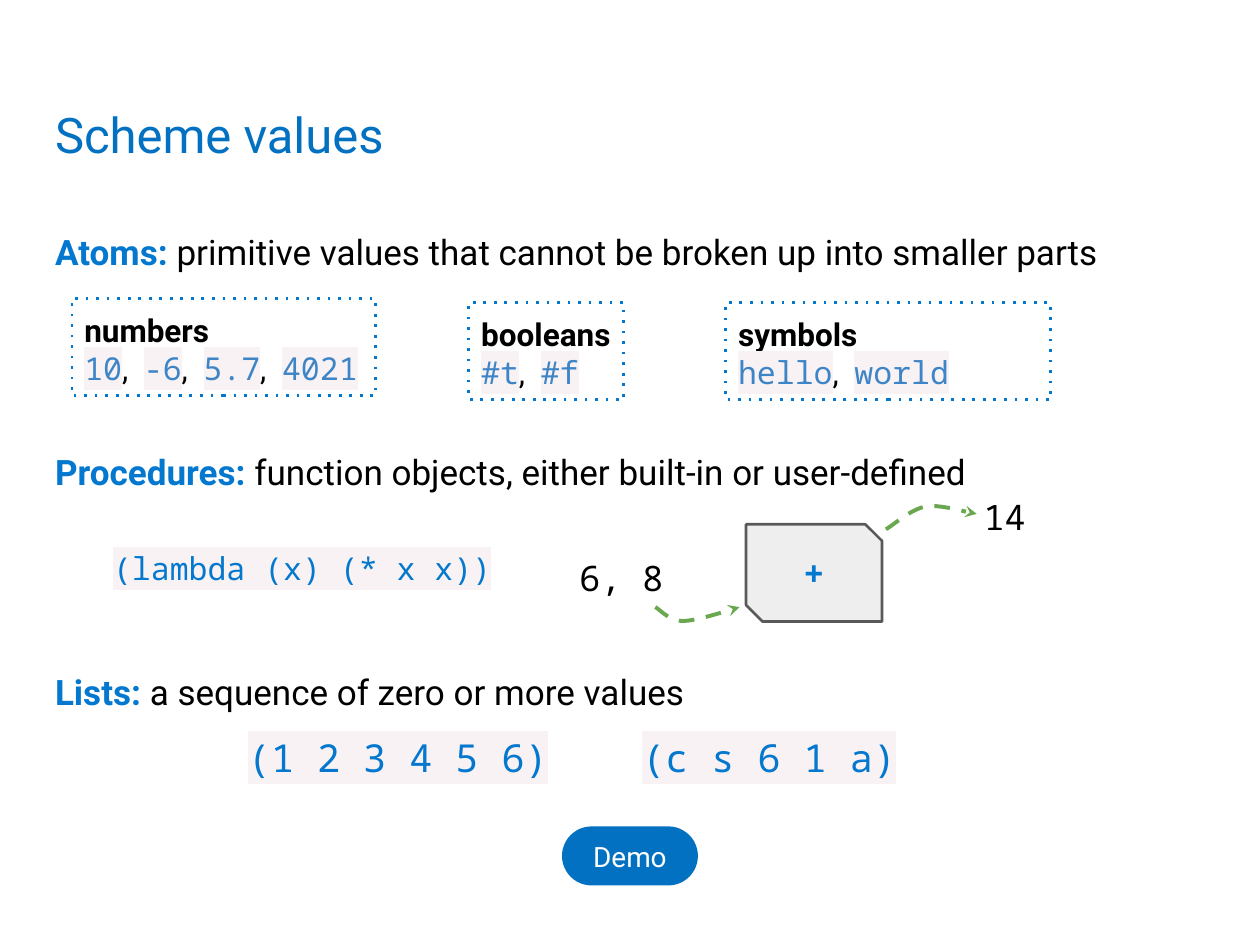
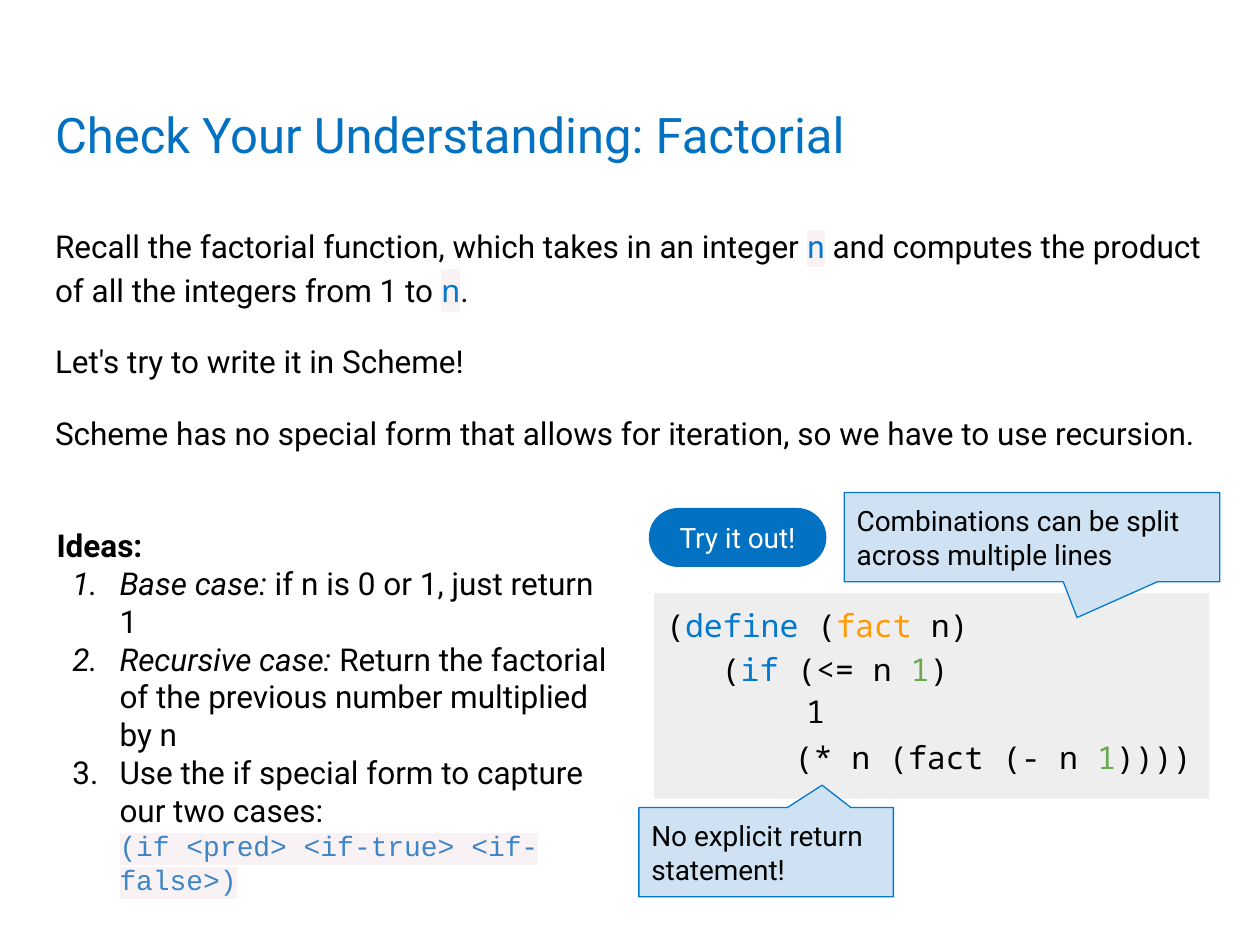
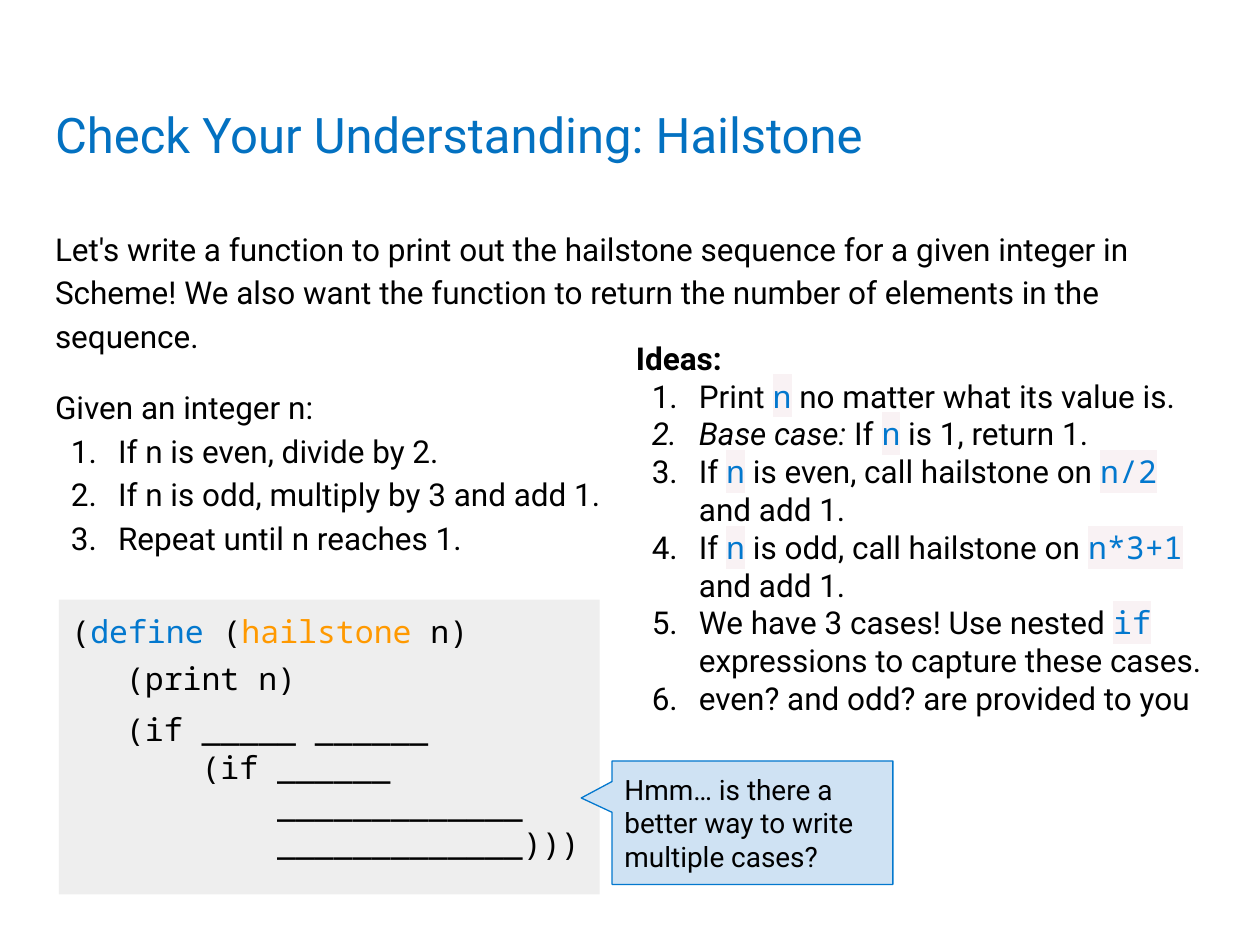
from dataclasses import dataclass, replace
from typing import NamedTuple, Optional, Sequence

from lxml.etree import SubElement
from pptx import Presentation
from pptx.dml.color import RGBColor
from pptx.enum.shapes import MSO_SHAPE
from pptx.enum.text import MSO_ANCHOR, MSO_AUTO_SIZE, PP_ALIGN
from pptx.oxml.ns import qn
from pptx.util import Cm, Pt

BLACK, WHITE = "000000", "FFFFFF"
TITLE_BLUE, BLUE, SOFT_BLUE = "0371C1", "0378CE", "3D85C6"
GREEN, ORANGE = "6AA84F", "FF9900"
PALE_BLUE, GREY, DARK_GREY, PINK = "CFE2F3", "EEEEEE", "595959", "F9F2F4"
MONO = "Noto Sans Mono"
INSET = 0.25
BODY_LEFT, BODY_WIDTH = 0.86, 23.67
LINE_SPACING = 1.15


class Frame(NamedTuple):
    """Position and size in centimetres."""
    left: float
    top: float
    width: float
    height: float

    def lengths(self) -> list:
        return [Cm(value) for value in self]


@dataclass(frozen=True)
class Style:
    size: float = 18
    font: str = "Roboto"
    color: str = BLACK
    bold: bool = False
    italic: bool = False
    highlight: Optional[str] = None
    tracking: Optional[float] = None


class Span(NamedTuple):
    text: str
    style: Style = Style()


@dataclass
class Para:
    spans: Sequence[Span]
    numbered: bool = False
    spacing: Optional[float] = None
    before: float = 0


@dataclass
class Look:
    """Fill, outline and text placement of a shape."""
    fill: Optional[str] = None
    line: Optional[str] = None
    weight: float = 0.75
    dash: Optional[str] = None
    anchor: MSO_ANCHOR = MSO_ANCHOR.TOP
    align: PP_ALIGN = PP_ALIGN.LEFT


@dataclass
class Callout:
    frame: Frame
    pointer: tuple[float, float]
    text: str


class ValueBox(NamedTuple):
    frame: Frame
    name: str
    values: list[str]


PLAIN = Style()
BOLD = Style(bold=True)
ITALIC = Style(italic=True)
CODE = Style(font=MONO)
KEYWORD = replace(CODE, color=BLUE)
DEFINED = replace(CODE, color=ORANGE)
NUMBER = replace(CODE, color=GREEN)
INLINE = replace(KEYWORD, highlight=PINK)
VALUE = replace(INLINE, color=SOFT_BLUE)
SEPARATOR = replace(PLAIN, tracking=2.25)
BREAK = Span("\n")
N = Span("n", INLINE)

CODE_LOOK = Look(fill=GREY)
VALUE_LOOK = Look(line=BLUE, weight=1.5, dash="dot")
CALLOUT_LOOK = Look(fill=PALE_BLUE, line=BLUE, anchor=MSO_ANCHOR.MIDDLE)
BUTTON_LOOK = Look(fill=TITLE_BLUE, anchor=MSO_ANCHOR.MIDDLE, align=PP_ALIGN.CENTER)
MACHINE_LOOK = Look(fill=GREY, line=DARK_GREY, weight=1.5,
                    anchor=MSO_ANCHOR.MIDDLE, align=PP_ALIGN.CENTER)


def rgb(color: str) -> RGBColor:
    return RGBColor.from_string(color)


def add_span(para, span: Span) -> None:
    if span == BREAK:
        para.add_line_break()
        return
    run, style = para.add_run(), span.style
    run.text = span.text
    font = run.font
    font.size, font.name = Pt(style.size), style.font
    font.bold, font.italic = style.bold, style.italic
    font.color.rgb = rgb(style.color)
    properties = run._r.get_or_add_rPr()
    if style.tracking:
        properties.set("spc", str(round(style.tracking * 100)))
    if style.highlight:
        mark = SubElement(properties, qn("a:highlight"))
        SubElement(mark, qn("a:srgbClr"), val=style.highlight)
        properties.find(qn("a:solidFill")).addnext(mark)


def number_paragraph(para) -> None:
    properties = para._p.get_or_add_pPr()
    properties.set("marL", str(Cm(1.27)))
    properties.set("indent", str(Cm(-0.95)))
    color = SubElement(properties, qn("a:buClr"))
    SubElement(color, qn("a:srgbClr"), val=BLACK)
    SubElement(properties, qn("a:buAutoNum"), type="arabicPeriod")


def fill_text(shape, paras: Sequence[Para], look: Look = Look()) -> None:
    frame = shape.text_frame
    frame.word_wrap = True
    frame.auto_size = MSO_AUTO_SIZE.NONE
    frame.vertical_anchor = look.anchor
    frame.margin_left = frame.margin_right = Cm(INSET)
    frame.margin_top = frame.margin_bottom = Cm(INSET)
    for index, item in enumerate(paras):
        para = frame.add_paragraph() if index else frame.paragraphs[0]
        if item.numbered:
            number_paragraph(para)
        para.alignment = look.align
        para.space_before = Pt(item.before)
        if item.spacing:
            para.line_spacing = item.spacing
        for span in item.spans:
            add_span(para, span)


def add_text(slide, frame: Frame, paras: Sequence[Para], look: Look = Look()) -> None:
    fill_text(slide.shapes.add_textbox(*frame.lengths()), paras, look)


def add_line(slide, frame: Frame, *spans: Span, look: Look = Look()) -> None:
    """Add a text box that holds one paragraph."""
    add_text(slide, frame, [Para(spans)], look)


def set_outline(shape, color: str, weight: float, dash: Optional[str]) -> None:
    shape.line.color.rgb = rgb(color)
    shape.line.width = Pt(weight)
    if dash:
        SubElement(shape.line._get_or_add_ln(), qn("a:prstDash"), val=dash)


def add_panel(slide, kind: MSO_SHAPE, frame: Frame, look: Look, paras: Sequence[Para],
              adjustments: Sequence[float] = ()) -> None:
    shape = slide.shapes.add_shape(kind, *frame.lengths())
    shape.shadow.inherit = False
    for index, value in enumerate(adjustments):
        shape.adjustments[index] = value
    if look.fill:
        shape.fill.solid()
        shape.fill.fore_color.rgb = rgb(look.fill)
    else:
        shape.fill.background()
    if look.line:
        set_outline(shape, look.line, look.weight, look.dash)
    else:
        shape.line.fill.background()
    fill_text(shape, paras, look)


def add_callout(slide, callout: Callout) -> None:
    add_panel(slide, MSO_SHAPE.ROUNDED_RECTANGULAR_CALLOUT, callout.frame, CALLOUT_LOOK,
              [Para([Span(callout.text, Style(16))])], (*callout.pointer, 0))


def add_button(slide, frame: Frame, text: str) -> None:
    label = Span(text, Style(16, color=WHITE))
    add_panel(slide, MSO_SHAPE.ROUNDED_RECTANGLE, frame, BUTTON_LOOK, [Para([label])], [0.5])


def add_value_box(slide, box: ValueBox) -> None:
    spans = []
    for value in box.values:
        if spans:
            spans.append(Span(", ", SEPARATOR))
        spans.append(Span(value, VALUE))
    add_panel(slide, MSO_SHAPE.RECTANGLE, box.frame, VALUE_LOOK,
              [Para([Span(box.name, BOLD)]), Para(spans)])


def add_definition(slide, frame: Frame, name: str) -> None:
    """Add a code panel that opens with the head of a Scheme definition."""
    add_panel(slide, MSO_SHAPE.RECTANGLE, frame, CODE_LOOK, [Para([
        Span("(", CODE), Span("define", KEYWORD), Span(" (", CODE),
        Span(name, DEFINED), Span(" n)", CODE)])])


def add_curved_arrow(slide, points: Sequence[tuple[float, float]], steps: int = 10) -> None:
    """Draw joined cubic curves, given as start, control, control, end, and so on."""
    curve = []
    for first in range(0, len(points) - 1, 3):
        for step in range(1, steps + 1):
            t = step / steps
            weights = ((1 - t) ** 3, 3 * t * (1 - t) ** 2, 3 * t * t * (1 - t), t ** 3)
            corners = points[first:first + 4]
            curve.append(tuple(Cm(sum(w * corner[axis] for w, corner in zip(weights, corners)))
                               for axis in (0, 1)))
    start_x, start_y = points[0]
    builder = slide.shapes.build_freeform(Cm(start_x), Cm(start_y))
    builder.add_line_segments(curve, close=False)
    arrow = builder.convert_to_shape()
    arrow.shadow.inherit = False
    arrow.fill.background()
    set_outline(arrow, GREEN, 2.25, "dash")
    SubElement(arrow.line._get_or_add_ln(), qn("a:tailEnd"), type="stealth")


def add_titled_slide(deck, title: str):
    slide = deck.slides.add_slide(deck.slide_layouts[5])
    holder = slide.shapes.title
    holder.left, holder.top, holder.width, holder.height = Frame(
        BODY_LEFT, 1.65, BODY_WIDTH, 2.11).lengths()
    fill_text(holder, [Para([Span(title, Style(28, color=TITLE_BLUE))])],
              Look(anchor=MSO_ANCHOR.MIDDLE))
    return slide


def body_para(*spans: Span, numbered: bool = False, before: float = 0) -> Para:
    return Para(spans, numbered, LINE_SPACING, before)


def ideas(*items: Sequence[Span]) -> list[Para]:
    return [Para([Span("Ideas:", BOLD)])] + [Para(item, numbered=True) for item in items]


def build_values_slide(deck) -> None:
    slide = add_titled_slide(deck, "Scheme values")
    sections = [
        ("Atoms:", " primitive values that cannot be broken up into smaller parts"),
        ("Procedures:", " function objects, either built-in or user-defined"),
        ("Lists:", " a sequence of zero or more values"),
    ]
    for index, (term, meaning) in enumerate(sections):
        frame = Frame(BODY_LEFT, 4.27 + 4.44 * index, BODY_WIDTH, 1.42)
        add_text(slide, frame, [body_para(Span(term, Style(20, color=BLUE, bold=True)),
                                          Span(meaning, Style(20)))])

    for box in (
        ValueBox(Frame(1.45, 6.02, 6.12, 1.96), "numbers", ["10", "-6", "5.7", "4021"]),
        ValueBox(Frame(9.45, 6.1, 3.12, 1.96), "booleans", ["#t", "#f"]),
        ValueBox(Frame(14.63, 6.1, 6.55, 1.96), "symbols", ["hello", "world"]),
    ):
        add_value_box(slide, box)

    add_line(slide, Frame(2.03, 10.82, 8.51, 1.42), Span("(lambda (x) (* x x))", INLINE))
    add_panel(slide, MSO_SHAPE.SNIP_2_DIAG_RECTANGLE, Frame(15.04, 10.57, 2.74, 1.96),
              MACHINE_LOOK, [Para([Span("+", replace(KEYWORD, size=20, bold=True))])],
              (0, 0.17))
    large_code = replace(CODE, size=20)
    add_line(slide, Frame(11.43, 10.97, 3.33, 1.04), Span("6, 8", large_code))
    add_line(slide, Frame(19.58, 9.73, 1.63, 1.04), Span("14", large_code))
    add_curved_arrow(slide, [(13.21, 12.24), (13.31, 12.29), (13.49, 12.52), (13.77, 12.52),
                             (14.05, 12.52), (14.73, 12.29), (14.91, 12.24)])
    add_curved_arrow(slide, [(17.86, 10.67), (18.01, 10.59), (18.36, 10.26), (18.67, 10.21),
                             (18.97, 10.16), (19.51, 10.34), (19.69, 10.36)])

    list_style = replace(INLINE, size=22)
    add_line(slide, Frame(4.75, 14.55, 6.6, 1.65), Span("(1 2 3 4 5 6)", list_style))
    add_line(slide, Frame(12.7, 14.55, 7.57, 1.65), Span("(c s 6 1 a)", list_style))
    add_button(slide, Frame(11.33, 16.66, 2.74, 1.19), "Demo")


def build_factorial_slide(deck) -> None:
    slide = add_titled_slide(deck, "Check Your Understanding: Factorial")
    add_text(slide, Frame(BODY_LEFT, 4.22, BODY_WIDTH, 6.15), [
        body_para(Span("Recall the factorial function, which takes in an integer "),
                  Span("n", replace(INLINE, font="Roboto")),
                  Span(" and computes the product of all the integers from 1 to "),
                  N, Span(".")),
        body_para(Span("Let's try to write it in Scheme!"), before=16),
        body_para(Span("Scheme has no special form that allows for iteration, "
                       "so we have to use recursion."), before=16),
    ])
    add_text(slide, Frame(0.89, 10.36, 11.84, 7.7), ideas(
        [Span("Base case: ", ITALIC), Span("if n is 0 or 1, just return 1")],
        [Span("Recursive case: ", ITALIC),
         Span("Return the factorial of the previous number multiplied by n")],
        [Span("Use the if special form to capture our two cases:"), BREAK,
         Span("(if <pred> <if-true> <if-false>)",
              replace(VALUE, size=16, font="Courier New"))],
    ))

    add_definition(slide, Frame(13.18, 11.96, 11.2, 4.14), "fact")
    add_line(slide, Frame(14.3, 12.85, 6.48, 1.22), Span("(", CODE), Span("if", KEYWORD),
             Span(" (<= n ", CODE), Span("1", NUMBER), Span(")", CODE))
    add_line(slide, Frame(16, 13.72, 1.12, 1.22), Span("1", CODE),
             look=Look(anchor=MSO_ANCHOR.MIDDLE))
    add_line(slide, Frame(15.77, 14.63, 8.97, 1.22), Span("(* n (fact (- n ", CODE),
             Span("1", NUMBER), Span("))))", CODE))
    add_callout(slide, Callout(Frame(17.02, 9.93, 7.57, 1.8), (0.12, 0.9),
                               "Combinations can be split across multiple lines"))
    add_callout(slide, Callout(Frame(12.88, 16.28, 5.13, 1.8), (0.22, -0.75),
                               "No explicit return statement!"))
    add_button(slide, Frame(13.08, 10.24, 3.58, 1.19), "Try it out!")


def build_hailstone_slide(deck) -> None:
    slide = add_titled_slide(deck, "Check Your Understanding: Hailstone")
    steps = ["If n is even, divide by 2.", "If n is odd, multiply by 3 and add 1.",
             "Repeat until n reaches 1."]
    add_text(slide, Frame(BODY_LEFT, 4.27, BODY_WIDTH, 7.34), [
        body_para(Span("Let's write a function to print out the hailstone sequence for a given "
                       "integer in Scheme! We also want the function to return the number of "
                       "elements in the sequence.")),
        body_para(Span("Given an integer n:"), before=16),
        *(body_para(Span(step), numbered=True) for step in steps),
    ])
    add_text(slide, Frame(12.57, 6.58, 11.96, 7.52), ideas(
        [Span("Print "), N, Span(" no matter what its value is.")],
        [Span("Base case:", ITALIC), Span(" If "), N, Span(" is 1, return 1.")],
        [Span("If "), N, Span(" is even, call hailstone on "), Span("n/2 ", INLINE),
         Span("and add 1.")],
        [Span("If "), N, Span(" is odd, call hailstone on "), Span("n*3+1", INLINE),
         Span(" and add 1.")],
        [Span("We have 3 cases! Use nested "), Span("if", INLINE),
         Span(" expressions to capture these cases.")],
        [Span("even? and odd? are provided to you")],
    ))

    add_definition(slide, Frame(1.19, 12.09, 10.9, 5.94), "hailstone")
    add_line(slide, Frame(2.29, 13.03, 4.01, 1.22), Span("(print n)", CODE))
    code_lines = [
        "(if _____ ______",
        "    (if ______",
        "        _____________",
        "        _____________)))",
    ]
    add_text(slide, Frame(2.29, 14.07, 9.78, 3.76),
             [Para([Span(line, CODE)]) for line in code_lines])
    add_callout(slide, Callout(Frame(12.34, 15.34, 5.66, 2.49), (-0.61, -0.2),
                               "Hmm… is there a better way to write multiple cases?"))


def main() -> None:
    deck = Presentation()
    deck.slide_width, deck.slide_height = Cm(25.4), Cm(19.05)
    build_values_slide(deck)
    build_factorial_slide(deck)
    build_hailstone_slide(deck)
    deck.save("out.pptx")


if __name__ == "__main__":
    main()
